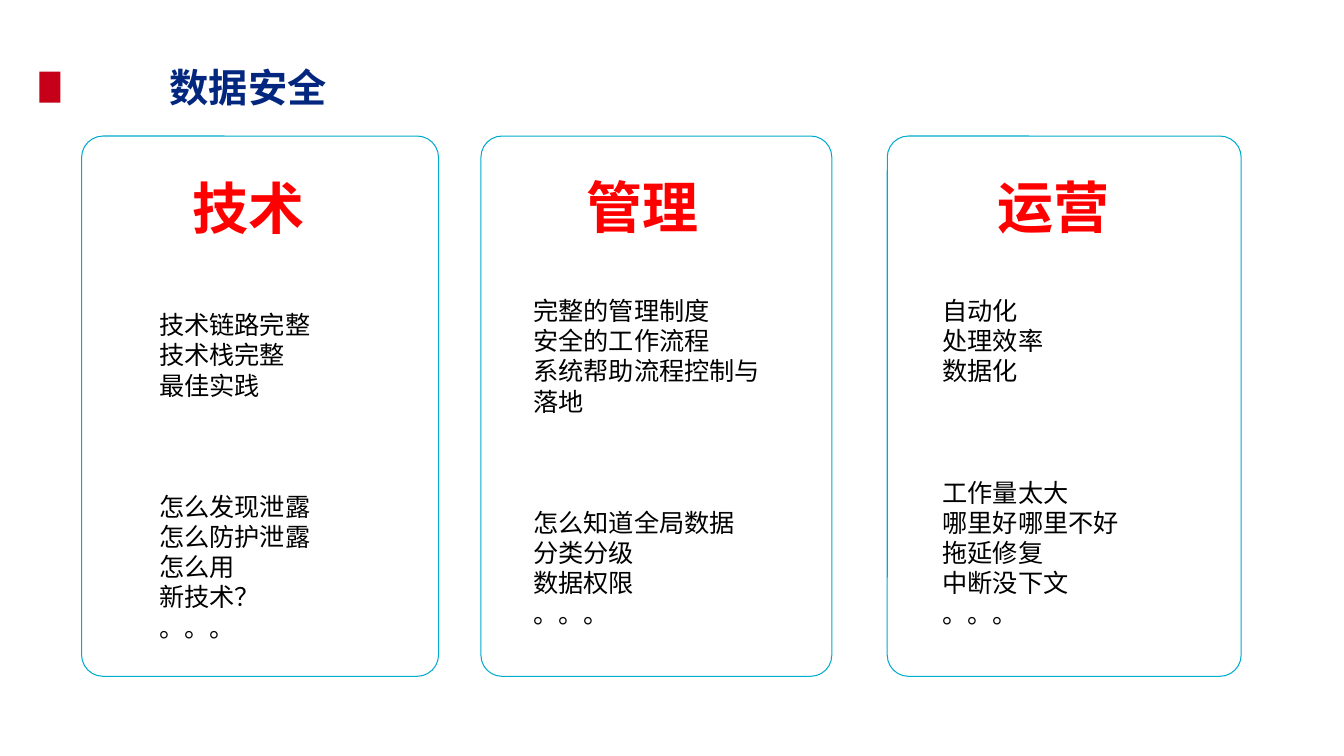
from pptx import Presentation
from pptx.dml.color import RGBColor
from pptx.enum.shapes import MSO_SHAPE
from pptx.enum.text import PP_ALIGN
from pptx.util import Inches, Pt

NAVY = RGBColor(0x03, 0x27, 0x7F)
CRIMSON = RGBColor(0xC6, 0x00, 0x19)
CYAN = RGBColor(0x00, 0xAC, 0xCE)
RED = RGBColor(0xFF, 0x00, 0x00)
BLACK = RGBColor(0x00, 0x00, 0x00)
HEAD_FONT, BODY_FONT = "Noto Sans CJK SC", "Calibri"

CARD_TOP, CARD_HEIGHT = 1.35, 5.36
GROUP_GAP = Pt(65)

# Card left and width, heading offset, body offset, heading, goals, questions
CARDS = [
    (0.81, 3.54, (1.0, 0.32), (0.67, 1.67), "技术",
     ["技术链路完整", "技术栈完整", "最佳实践"],
     ["怎么发现泄露", "怎么防护泄露", "怎么用", "新技术？", "。。。"]),
    (4.77, 3.48, (0.95, 0.31), (0.42, 1.53), "管理",
     ["完整的管理制度", "安全的工作流程", "系统帮助流程控制与落地"],
     ["怎么知道全局数据", "分类分级", "数据权限", "。。。"]),
    (8.8, 3.51, (1.0, 0.31), (0.45, 1.53), "运营",
     ["自动化", "处理效率", "数据化"],
     ["工作量太大", "哪里好哪里不好", "拖延修复", "中断没下文", "。。。"]),
]


def add_text(s, lines, x, y, w, h, size=18, font=BODY_FONT, color=BLACK,
             bold=False, align=PP_ALIGN.LEFT):
    tf = s.shapes.add_textbox(Inches(x), Inches(y), Inches(w), Inches(h)).text_frame
    tf.word_wrap = True
    for i, line in enumerate(lines):
        p = tf.paragraphs[0] if i == 0 else tf.add_paragraph()
        p.alignment = align
        r = p.add_run()
        r.text = line
        r.font.size = Pt(size)
        r.font.name = font
        r.font.bold = bold
        r.font.color.rgb = color
    return tf


def add_header(s, x, y):
    marker = s.shapes.add_shape(MSO_SHAPE.RECTANGLE, Inches(x), Inches(y + 0.13),
                                Inches(0.21), Inches(0.31))
    marker.shadow.inherit = False
    marker.fill.solid()
    marker.fill.fore_color.rgb = CRIMSON
    marker.line.fill.background()
    add_text(s, ["数据安全"], x + 0.2, y, 3.74, 0.57, size=28, font=HEAD_FONT,
             color=NAVY, bold=True, align=PP_ALIGN.CENTER)


def add_card(s, x, y, w, h, head_offset, body_offset, heading, goals, questions):
    sp = s.shapes.add_shape(MSO_SHAPE.ROUNDED_RECTANGLE, Inches(x), Inches(y),
                            Inches(w), Inches(h))
    sp.adjustments[0] = 0.06
    sp.shadow.inherit = False
    sp.fill.background()
    sp.line.color.rgb = CYAN
    sp.line.width = Pt(0.75)
    dx, dy = head_offset
    add_text(s, [heading], x + dx, y + dy, 1.54, 0.77, size=40, font=HEAD_FONT,
             color=RED, bold=True)
    dx, dy = body_offset
    tf = add_text(s, goals + questions, x + dx, y + dy, 2.64, 3.43)
    tf.paragraphs[len(goals)].space_before = GROUP_GAP


def main():
    prs = Presentation()
    prs.slide_width, prs.slide_height = Inches(13.33), Inches(7.5)
    s = prs.slides.add_slide(prs.slide_layouts[6])
    add_header(s, 0.39, 0.58)
    for x, w, *content in CARDS:
        add_card(s, x, CARD_TOP, w, CARD_HEIGHT, *content)
    prs.save("out.pptx")


if __name__ == "__main__":
    main()
